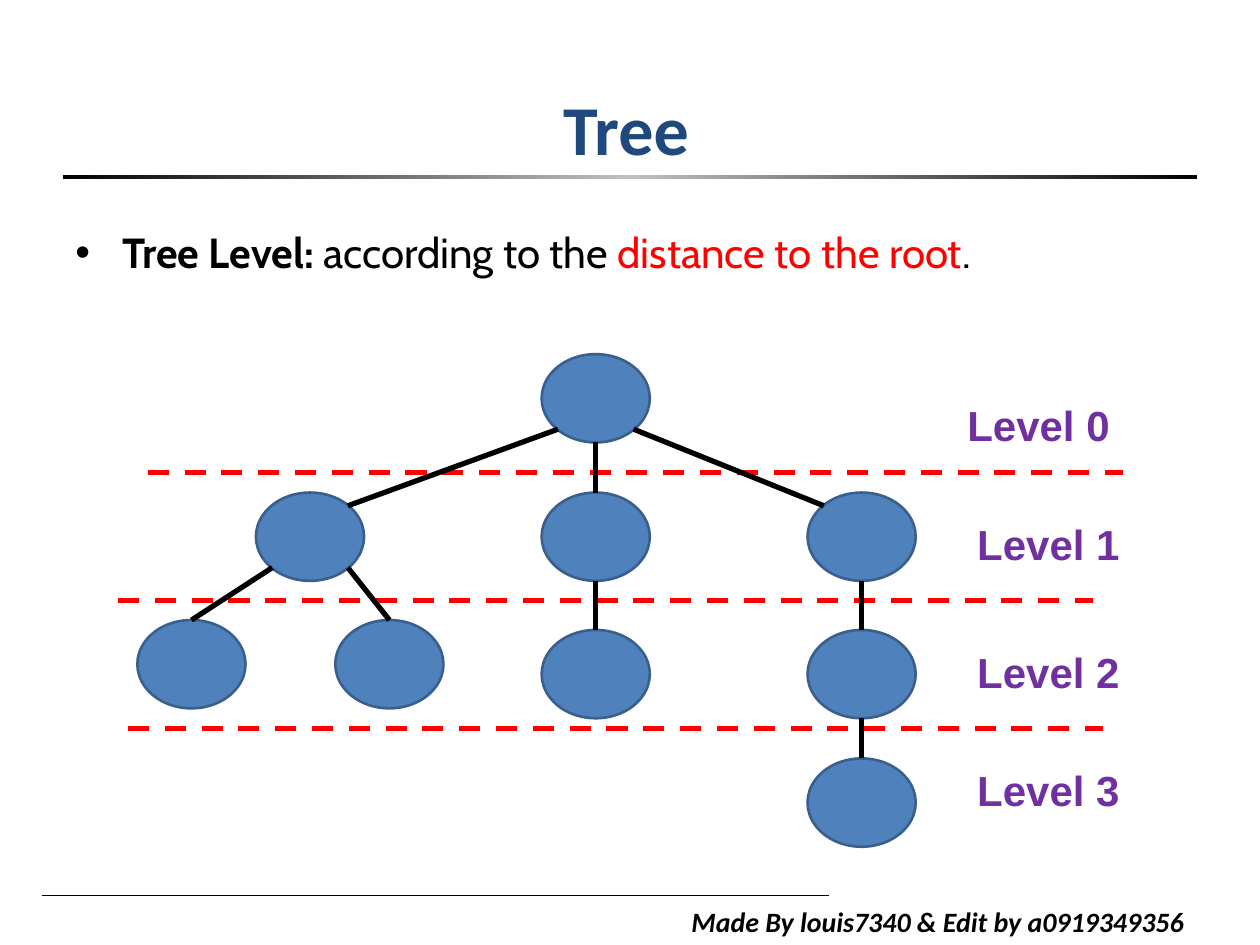
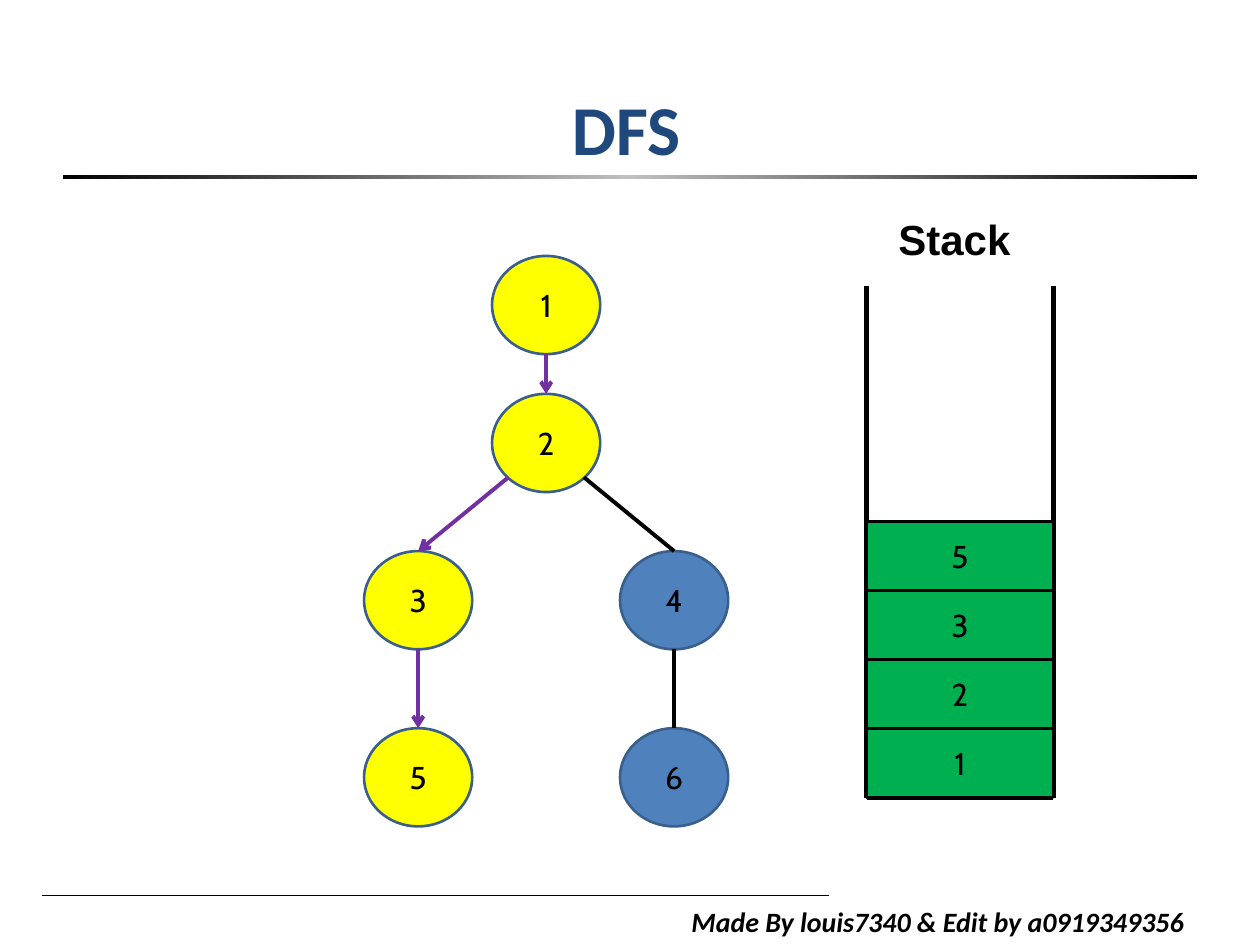
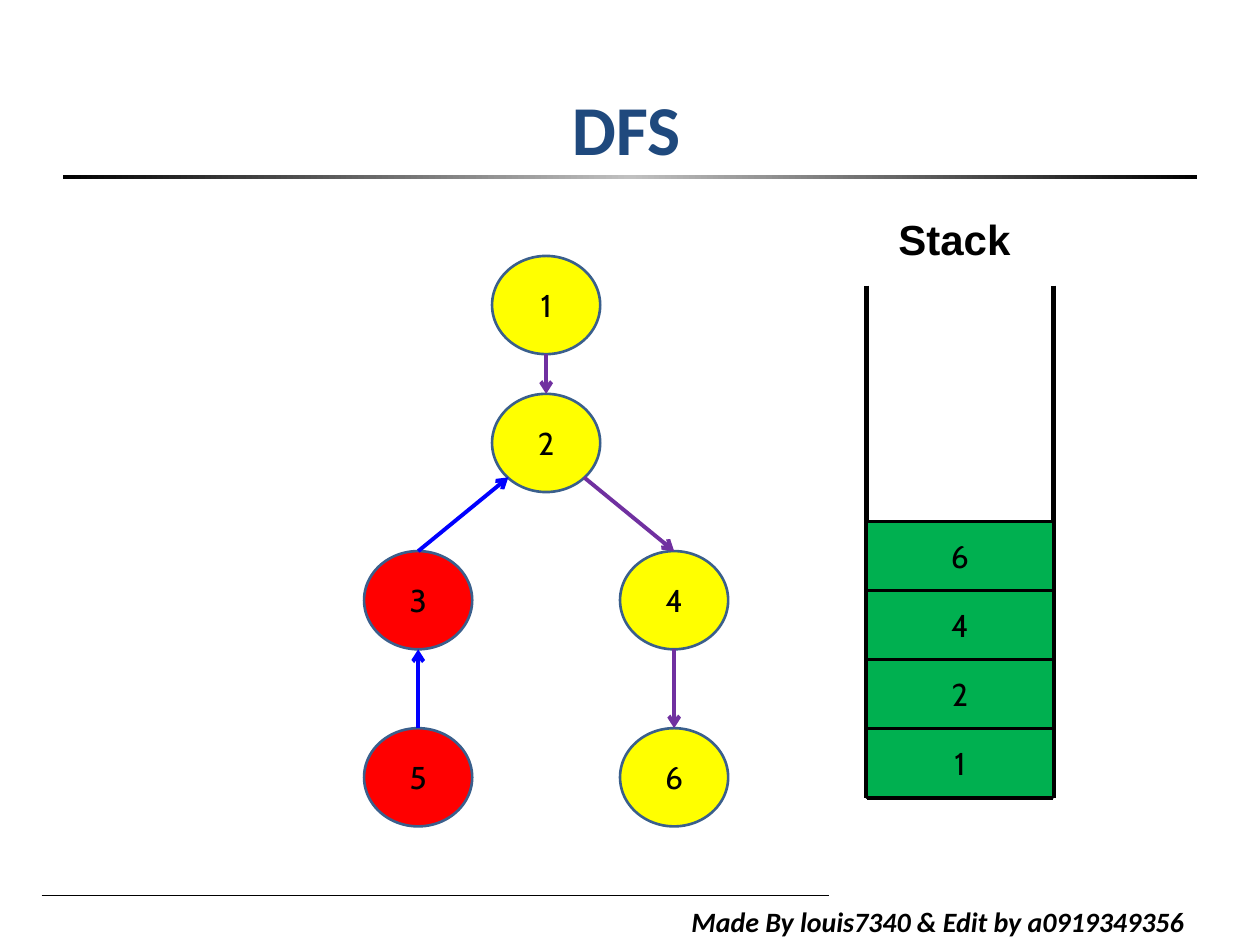
"""Build three slides on tree levels and depth-first search."""

from copy import deepcopy
from dataclasses import dataclass

from lxml.etree import SubElement
from pptx import Presentation
from pptx.dml.color import RGBColor as Rgb
from pptx.enum.dml import MSO_LINE_DASH_STYLE as Dash
from pptx.enum.shapes import MSO_CONNECTOR as Connector
from pptx.enum.shapes import MSO_SHAPE as Preset
from pptx.enum.text import MSO_ANCHOR as Anchor
from pptx.enum.text import PP_ALIGN as Align
from pptx.oxml.ns import qn
from pptx.util import Cm, Pt


@dataclass(frozen=True)
class Theme:
    black: Rgb = Rgb.from_string("000000")
    silver: Rgb = Rgb.from_string("C0C0C0")
    navy: Rgb = Rgb.from_string("1F497D")
    blue: Rgb = Rgb.from_string("4F81BD")
    outline: Rgb = Rgb.from_string("3A5F8C")
    red: Rgb = Rgb.from_string("FF0000")
    yellow: Rgb = Rgb.from_string("FFFF00")
    green: Rgb = Rgb.from_string("00B050")
    purple: Rgb = Rgb.from_string("7030A0")
    back: Rgb = Rgb.from_string("0000FF")
    title_size: int = 40
    body_size: int = 24
    node_size: int = 18
    footer_size: int = 16


theme = Theme()


def write(shape, text, font="Cabin", size=theme.node_size, color=theme.black,
          bold=False, italic=False, align=Align.LEFT, anchor=Anchor.TOP):
    frame = shape.text_frame
    frame.word_wrap = True
    frame.vertical_anchor = anchor
    paragraph = frame.paragraphs[0]
    paragraph.alignment = align
    run = paragraph.add_run()
    run.text = text
    run.font.name = font
    run.font.size = Pt(size)
    run.font.color.rgb = color
    run.font.bold = bold
    run.font.italic = italic


def draw_line(slide, start, end, color=theme.black, width=3, dash=None, arrow=False):
    points = [Cm(value) for value in (*start, *end)]
    connector = slide.shapes.add_connector(Connector.STRAIGHT, *points)
    connector.line.color.rgb = color
    connector.line.width = Pt(width)
    if dash:
        connector.line.dash_style = dash
    properties = connector.element.spPr
    if arrow:
        SubElement(properties.find(qn("a:ln")), qn("a:tailEnd"), type="arrow")
    SubElement(properties, qn("a:effectLst"))


presentation = Presentation()
presentation.slide_width = Cm(25.4)
presentation.slide_height = Cm(19.05)

slides = []
for title in ("Tree", "DFS", "DFS"):
    slide = presentation.slides.add_slide(presentation.slide_layouts[6])
    slides.append(slide)

    draw_line(slide, (0.84, 18.06), (16.71, 18.06), width=0.5)
    footer = slide.shapes.add_textbox(Cm(13.69), Cm(18.11), Cm(11.35), Cm(1.63))
    write(footer, "Made By louis7340 & Edit by a0919349356", font="Calibri",
          size=theme.footer_size, bold=True, italic=True)

    rule = slide.shapes.add_shape(Preset.RECTANGLE, Cm(1.27), Cm(3.53), Cm(22.86), Cm(0.08))
    rule.shadow.inherit = False
    rule.line.fill.background()
    rule.fill.gradient()
    rule.fill.gradient_angle = 0
    stop_list = rule.element.spPr.find(qn("a:gradFill")).find(qn("a:gsLst"))
    stop_list.insert(1, deepcopy(stop_list[0]))
    rule_colors = (theme.black, theme.silver, theme.black)
    for index, (stop, color) in enumerate(zip(rule.fill.gradient_stops, rule_colors)):
        stop.position = index / 2
        stop.color.rgb = color

    heading = slide.shapes.add_textbox(Cm(1.19), Cm(0.99), Cm(22.86), Cm(3.18))
    write(heading, title, font="Calibri", size=theme.title_size, color=theme.navy,
          bold=True, align=Align.CENTER, anchor=Anchor.MIDDLE)

level_slide = slides[0]
body = level_slide.shapes.add_textbox(Cm(1.27), Cm(4.45), Cm(22.86), Cm(12.57))
for text, color, bold in (
    ("Tree Level: ", theme.black, True),
    ("according to the ", theme.black, False),
    ("distance to the root", theme.red, False),
    (".", theme.black, False),
):
    write(body, text, size=theme.body_size, color=color, bold=bold)
paragraph = body.text_frame.paragraphs[0]
paragraph.space_before = Pt(theme.body_size * 0.2)
bullet = paragraph._p.get_or_add_pPr()
bullet.set("marL", str(Cm(0.95)))
bullet.set("indent", str(Cm(-0.95)))
SubElement(bullet, qn("a:buFont"), typeface="Arial")
SubElement(bullet, qn("a:buChar"), char="•")

for left, top in ((2.98, 9.53), (2.38, 12.11), (2.58, 14.69)):
    draw_line(level_slide, (left, top), (left + 19.65, top), color=theme.red, dash=Dash.DASH)

for level, (left, top) in enumerate(((19.25, 7.93), (19.45, 10.32), (19.45, 12.9), (19.45, 15.29))):
    label = level_slide.shapes.add_textbox(Cm(left), Cm(top), Cm(3.76), Cm(1.27))
    write(label, f"Level {level}", font="Arial", size=theme.body_size,
          color=theme.purple, bold=True)

level_places = {
    "root": (10.92, 7.14),
    "left": (5.16, 9.93), "middle": (10.92, 9.93), "right": (16.28, 9.93),
    "left first": (2.77, 12.5), "left second": (6.76, 12.5),
    "middle child": (10.92, 12.7), "right child": (16.28, 12.7),
    "right grandchild": (16.28, 15.29),
}
level_edges = [
    ("root", "lower left", "left", "upper right", theme.black),
    ("root", "bottom", "middle", "top", theme.black),
    ("root", "lower right", "right", "upper left", theme.black),
    ("left", "lower left", "left first", "top", theme.black),
    ("left", "lower right", "left second", "top", theme.black),
    ("middle", "bottom", "middle child", "top", theme.black),
    ("right", "bottom", "right child", "top", theme.black),
    ("right child", "bottom", "right grandchild", "top", theme.black),
]
search_places = {
    "1": (9.92, 5.16), "2": (9.92, 7.94),
    "3": (7.34, 11.11), "5": (7.34, 14.68),
    "4": (12.5, 11.11), "6": (12.5, 14.68),
}
descent_edges = [
    ("1", "bottom", "2", "top", theme.purple),
    ("2", "lower left", "3", "top", theme.purple),
    ("3", "bottom", "5", "top", theme.purple),
    ("2", "lower right", "4", "top", theme.black),
    ("4", "bottom", "6", "top", theme.black),
]
return_edges = [
    ("1", "bottom", "2", "top", theme.purple),
    ("3", "top", "2", "lower left", theme.back),
    ("5", "top", "3", "bottom", theme.back),
    ("2", "lower right", "4", "top", theme.purple),
    ("4", "bottom", "6", "top", theme.purple),
]
descent_fills = {"4": theme.blue, "6": theme.blue}
return_fills = {"3": theme.red, "5": theme.red}
sites = {
    "top": (0.5, 0), "bottom": (0.5, 1),
    "upper left": (0.15, 0.15), "upper right": (0.85, 0.15),
    "lower left": (0.15, 0.85), "lower right": (0.85, 0.85),
}

node_width = 2.18
for slide, places, edges, node_height, edge_width, base_fill, fills in (
    (level_slide, level_places, level_edges, 1.78, 3, theme.blue, {}),
    (slides[1], search_places, descent_edges, 1.98, 2.25, theme.yellow, descent_fills),
    (slides[2], search_places, return_edges, 1.98, 2.25, theme.yellow, return_fills),
):
    for name, (left, top) in places.items():
        node = slide.shapes.add_shape(Preset.OVAL, Cm(left), Cm(top), Cm(node_width), Cm(node_height))
        node.shadow.inherit = False
        node.fill.solid()
        node.fill.fore_color.rgb = fills.get(name, base_fill)
        node.line.color.rgb = theme.outline
        node.line.width = Pt(1.5)
        if name.isdigit():
            write(node, name, align=Align.CENTER, anchor=Anchor.MIDDLE)

    for start, start_site, end, end_site, color in edges:
        ends = []
        for name, site in ((start, start_site), (end, end_site)):
            left, top = places[name]
            across, down = sites[site]
            ends.append((left + across * node_width, top + down * node_height))
        draw_line(slide, *ends, color=color, width=edge_width, arrow=color != theme.black)

stack_left, stack_right, stack_top, stack_bottom = 17.47, 21.23, 5.76, 16.08
cell_height = 1.39
for slide, stack in ((slides[1], "1235"), (slides[2], "1246")):
    label = slide.shapes.add_textbox(Cm(17.86), Cm(4.17), Cm(3.18), Cm(1.27))
    write(label, "Stack", font="Arial", size=theme.body_size, bold=True)

    for side in (stack_left, stack_right):
        draw_line(slide, (side, stack_top), (side, stack_bottom))
    draw_line(slide, (stack_left, stack_bottom), (stack_right, stack_bottom))

    for position, value in enumerate(stack, start=1):
        cell = slide.shapes.add_shape(
            Preset.RECTANGLE, Cm(stack_left), Cm(stack_bottom - position * cell_height),
            Cm(stack_right - stack_left), Cm(cell_height))
        cell.shadow.inherit = False
        cell.fill.solid()
        cell.fill.fore_color.rgb = theme.green
        cell.line.color.rgb = theme.black
        cell.line.width = Pt(1.5)
        write(cell, value, align=Align.CENTER, anchor=Anchor.MIDDLE)

presentation.save("out.pptx")
